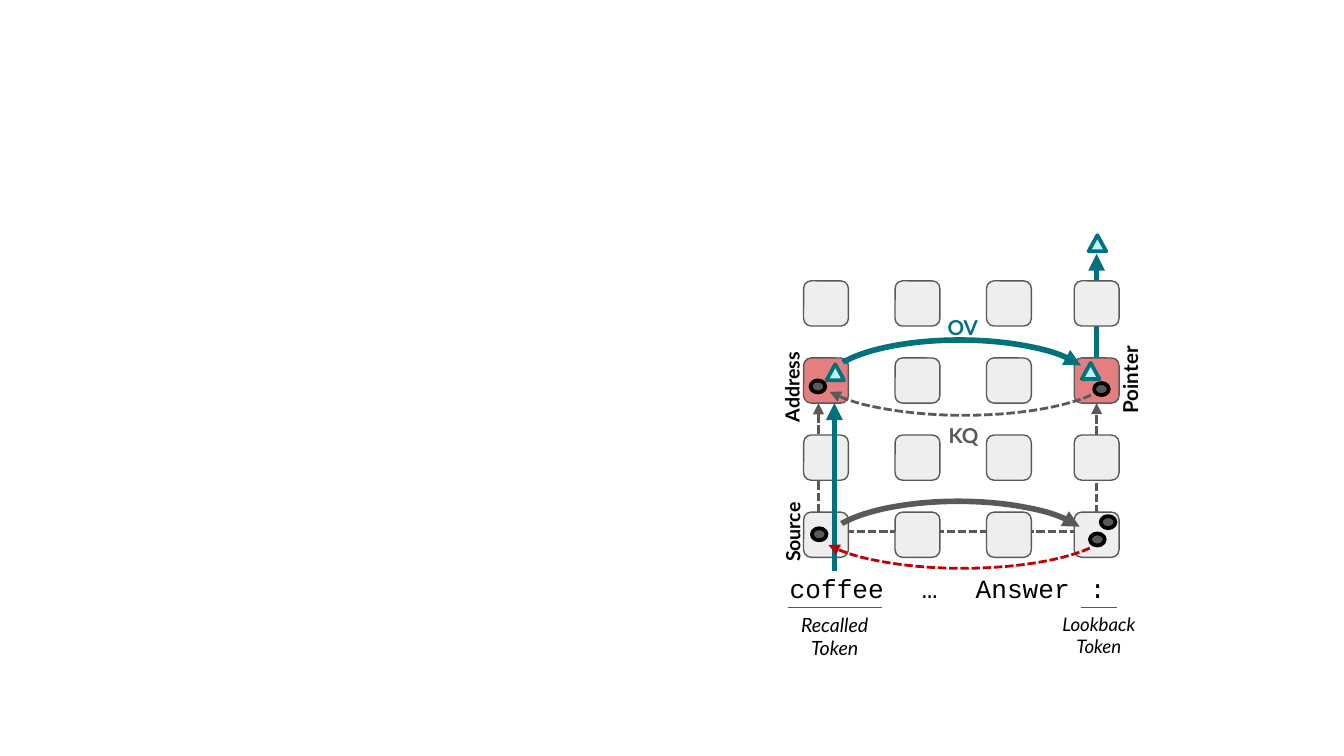
"""Build a slide showing the lookback mechanism between recalled and lookback tokens."""
import lxml.etree
import pptx
import pptx.dml.color
import pptx.enum.dml
import pptx.enum.shapes
import pptx.enum.text
import pptx.oxml.ns
import pptx.util

Pt = pptx.util.Pt
MSO = pptx.enum.shapes.MSO_SHAPE
STRAIGHT = pptx.enum.shapes.MSO_CONNECTOR.STRAIGHT
CENTER = pptx.enum.text.PP_ALIGN.CENTER
rgb = pptx.dml.color.RGBColor.from_string
qn = pptx.oxml.ns.qn
sub = lxml.etree.SubElement
TEAL, GRAY, RED, PALE = "00717D", "595959", "C00000", "EEEEEE"


def style(s, line, width, fill=None, dash=False, arrow=False, alpha=None):
    if fill:
        s.fill.solid()
        s.fill.fore_color.rgb = rgb(fill)
        if alpha:
            color = s.fill._xPr.find(qn("a:solidFill"))[0]
            sub(color, qn("a:alpha"), val=str(alpha * 1000))
    elif hasattr(s, "fill"):
        s.fill.background()
    s.line.color.rgb = rgb(line)
    s.line.width = Pt(width)
    if dash:
        s.line.dash_style = pptx.enum.dml.MSO_LINE.SQUARE_DOT
    if arrow:
        sub(s.line._get_or_add_ln(), qn("a:tailEnd"), type="triangle")
    sub(s._element.spPr, qn("a:effectLst"))


def add_run(p, text, font, size, color="000000"):
    r = p.add_run()
    r.text = text
    r.font.name = font
    r.font.size = Pt(size)
    r.font.color.rgb = rgb(color)
    return r


prs = pptx.Presentation()
prs.slide_width, prs.slide_height = Pt(720), Pt(405)
shapes = prs.slides.add_slide(prs.slide_layouts[6]).shapes

for x1, y1, x2, y2, color, width, dash in [
    (587.5, 192, 587.5, 136, TEAL, 3, False),
    (438.5, 274.5, 438.5, 216, GRAY, 1.5, True),
    (447, 284.8, 587.5, 216, GRAY, 1.5, True),
]:
    s = shapes.add_connector(STRAIGHT, Pt(x1), Pt(y1), Pt(x2), Pt(y2))
    if x1 != x2:
        s._element.spPr.find(qn("a:prstGeom")).set("prst", "bentConnector2")
    style(s, color, width, dash=dash, arrow=True)

tf = shapes.add_textbox(Pt(407.5), Pt(303.1), Pt(204.5), Pt(24.5)).text_frame
tf.word_wrap = True
tf.margin_left = Pt(15.6)
p = tf.paragraphs[0]
tabs = sub(p._p.get_or_add_pPr(), qn("a:tabLst"))
for stop in (70.8, 99.6, 160.8):
    sub(tabs, qn("a:tab"), pos=str(Pt(stop)), algn="l")
for token in ("coffee", "\t…", "\tAnswer", "\t:"):
    add_run(p, token, "Courier New", 14)

columns = (430.5, 479.5, 528.5, 575.5)
for col, x in enumerate(columns):
    for row in range(4):
        s = shapes.add_shape(MSO.ROUNDED_RECTANGLE, Pt(x), Pt(150.5 + 41.3 * row), Pt(24), Pt(24.2))
        s.adjustments[0] = 0.17
        if row == 1 and col in (0, 3):
            style(s, GRAY, 0.75, "CD0000", alpha=50)
        elif (row, col) == (2, 2):
            style(s, GRAY, 0.75, "DEDEDE", alpha=49)
        else:
            style(s, GRAY, 0.75, PALE)

for x1, x2 in [(422, 472.3), (579, 598.3)]:
    s = shapes.add_connector(STRAIGHT, Pt(x1), Pt(325.4), Pt(x2), Pt(325.4))
    style(s, GRAY, 0.75)

for text, x, y, w, h, size, color, angle in [
    ("Recalled Token", 422, 328.3, 50.4, 25.2, 10.5, "000000", 0),
    ("Lookback Token", 563.8, 328.3, 49.7, 24.5, 10, "000000", 0),
    ("Address", 403.9, 200.9, 41, 13, 10.5, "000000", 270),
    ("Source", 408.2, 278.6, 33.1, 13, 10.5, "000000", 270),
    ("Pointer", 587.5, 196.6, 36, 13.7, 11, "000000", 270),
    ("OV", 497.8, 168.5, 36, 13.7, 11, TEAL, 0),
    ("KQ", 498.2, 226.8, 36, 13.7, 11, GRAY, 0),
]:
    s = shapes.add_textbox(Pt(x), Pt(y), Pt(w), Pt(h))
    s.rotation = angle
    tf = s.text_frame
    tf.word_wrap = True
    tf.margin_left = tf.margin_right = tf.margin_top = tf.margin_bottom = 0
    p = tf.paragraphs[0]
    p.alignment = CENTER
    r = add_run(p, text, "Lato", size, color)
    r.font.italic = "Token" in text
    r.font.bold = "Token" not in text

for x, y in [(434.9, 283), (434.2, 203.8), (586.1, 205.2), (583.9, 285.8), (589.7, 276.5)]:
    s = shapes.add_shape(MSO.OVAL, Pt(x), Pt(y), Pt(7.9), Pt(6.5))
    style(s, "000000", 2, GRAY)

for x, y in [(442.8, 195.1), (579.6, 194.4), (583.2, 126)]:
    s = shapes.add_shape(MSO.ISOSCELES_TRIANGLE, Pt(x), Pt(y), Pt(9.4), Pt(8.6))
    style(s, TEAL, 2, "BAF8FF")

s = shapes.add_connector(STRAIGHT, Pt(447), Pt(306), Pt(447), Pt(216))
style(s, TEAL, 3, arrow=True)

for x, y, h, angle, color, width in [
    (492.5, 117.4, 162.7, 90, GRAY, 1.5),
    (490.3, 133.9, 144, 270, TEAL, 3),
    (491.8, 199.4, 162.7, 90, RED, 1.5),
    (489.6, 220.3, 144, 270, GRAY, 3),
]:
    s = shapes.add_shape(MSO.ARC, Pt(x), Pt(y), Pt(47.5), Pt(h))
    s.adjustments[0], s.adjustments[1] = 168.44, 48.67
    s.rotation = angle
    style(s, color, width, dash=angle == 90, arrow=True)

prs.save("out.pptx")
